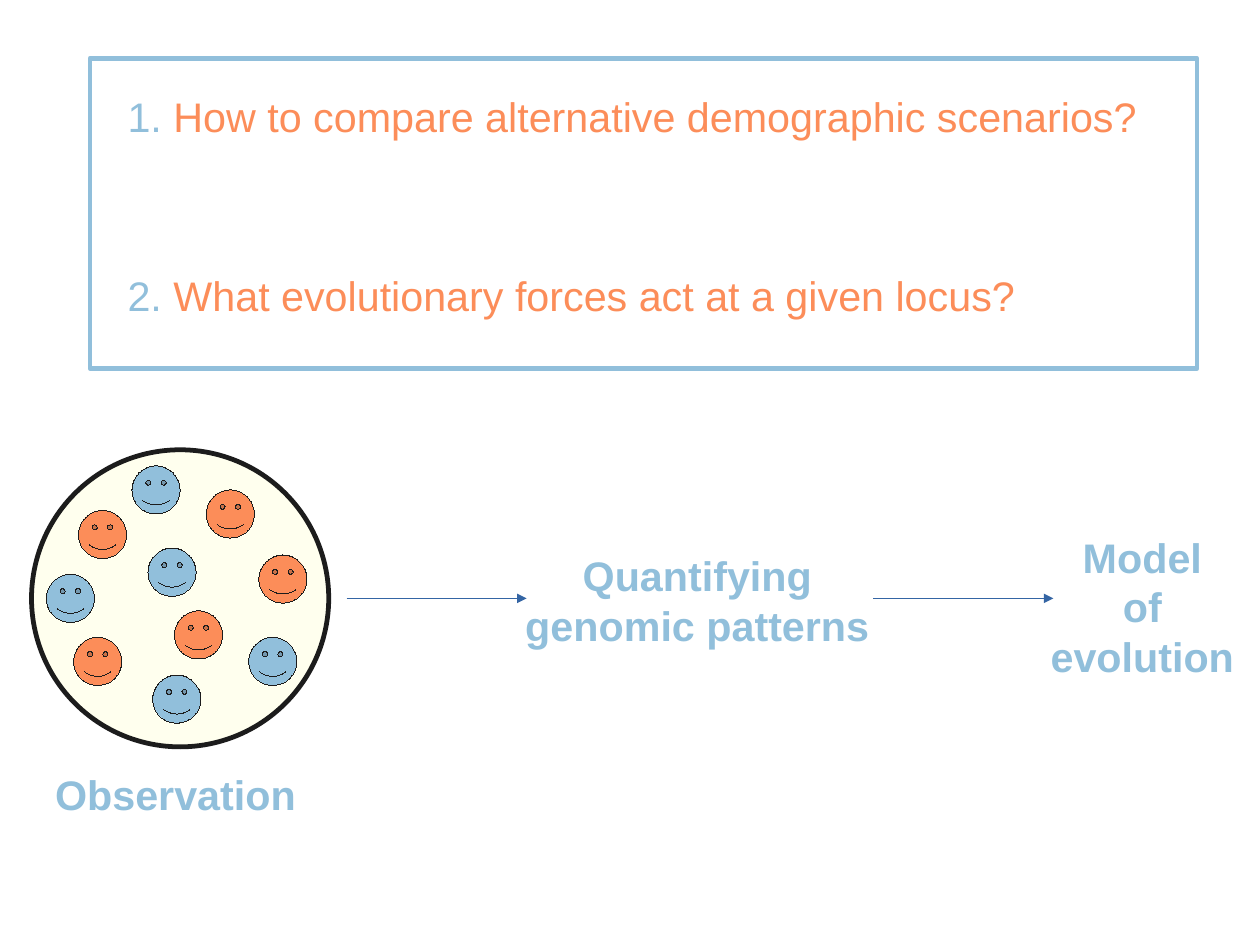
from lxml.etree import SubElement
from pptx import Presentation
from pptx.dml.color import RGBColor
from pptx.enum.shapes import MSO_CONNECTOR, MSO_SHAPE
from pptx.enum.text import PP_ALIGN
from pptx.oxml.ns import qn
from pptx.util import Cm, Pt

BLUE = RGBColor(0x91, 0xBF, 0xDB)
ORANGE = RGBColor(0xFC, 0x8D, 0x59)
YELLOW = RGBColor(0xFF, 0xFF, 0xBF)
BLACK = RGBColor(0x1C, 0x1C, 0x1C)
ARROW = RGBColor(0x34, 0x65, 0xA4)
HAIRLINE = 0.01

QUESTIONS = [
    ("1.", " How to compare alternative demographic scenarios?", 8.82),
    ("2.", " What evolutionary forces act at a given locus?", 66.54),
]
FACES = [
    (ORANGE, [(15.8, 20.4), (48.1, 54.2), (58.8, 13.5), (76.5, 35.4), (14.2, 63.1)]),
    (BLUE, [(33.8, 5.4), (73.1, 63.1), (5, 41.9), (39.2, 33.1), (40.8, 75.8)]),
]


def inside(box, x, y, w, h):
    """Return the part of a box given in percent of its width and height."""
    left, top, width, height = box
    return (int(left + width * x / 100), int(top + height * y / 100),
            int(width * w / 100), int(height * h / 100))


def add_text(s, box, lines, align=PP_ALIGN.LEFT, bold=False, wrap=True):
    """Add a text box; each line is a list of (text, colour) runs."""
    tf = s.shapes.add_textbox(*box).text_frame
    tf.word_wrap = wrap
    for i, runs in enumerate(lines):
        p = tf.paragraphs[0] if i == 0 else tf.add_paragraph()
        p.alignment = align
        for text, color in runs:
            r = p.add_run()
            r.text = text
            r.font.name = "Arial"
            r.font.size = Pt(26)
            r.font.bold = bold
            r.font.color.rgb = color


def add_label(s, box, *lines):
    """Add a bold centred label in blue."""
    add_text(s, box, [[(line, BLUE)] for line in lines],
             PP_ALIGN.CENTER, bold=True, wrap=False)


def add_outlined(s, kind, box, line, width, fill=None):
    """Add a preset shape with an outline and an optional fill."""
    sp = s.shapes.add_shape(kind, *box)
    sp.shadow.inherit = False
    sp.line.color.rgb = line
    sp.line.width = Pt(width)
    if fill is None:
        sp.fill.background()
    else:
        sp.fill.solid()
        sp.fill.fore_color.rgb = fill
    return sp


def add_arrow(s, box):
    """Add a hairline arrow along the top edge of a box."""
    x, y, w, _ = box
    c = s.shapes.add_connector(MSO_CONNECTOR.STRAIGHT, x, y, x + w, y)
    c.line.color.rgb = ARROW
    c.line.width = Pt(HAIRLINE)
    props = c._element.spPr
    SubElement(props.find(qn("a:ln")), qn("a:tailEnd"), type="triangle")
    SubElement(props, qn("a:effectLst"))


def add_questions(s, box):
    """Add the framed list of questions."""
    for number, question, y in QUESTIONS:
        add_text(s, inside(box, 2.37, y, 97.52, 33.46),
                 [[(number, BLUE), (question, ORANGE)]])
    add_outlined(s, MSO_SHAPE.RECTANGLE, box, BLUE, 3)


def add_population(s, box):
    """Add the circle of orange and blue individuals."""
    circle = add_outlined(s, MSO_SHAPE.OVAL, box, BLACK, 3, YELLOW)
    color = circle._element.spPr.find(qn("a:solidFill"))[0]
    SubElement(color, qn("a:alpha"), val="26000")
    for fill, places in FACES:
        for x, y in places:
            face = add_outlined(s, MSO_SHAPE.SMILEY_FACE,
                                inside(box, x, y, 16.2, 16.2), BLACK, HAIRLINE, fill)
            face.adjustments[0] = 0.093


def add_workflow(s, box):
    """Add the path from observation to model across a box."""
    add_label(s, inside(box, 39.66, 57.68, 31.4, 13.18),
              "Quantifying", "genomic patterns")
    add_label(s, inside(box, 82.46, 55.7, 16.42, 25.03),
              "Model", "of", "evolution")
    add_population(s, inside(box, 2.5, 47.6, 23.59, 31.44))
    add_label(s, inside(box, 1.42, 80.85, 25.05, 7.13), "Observation")
    for x in (27.5, 69.3):
        add_arrow(s, inside(box, x, 63.32, 14.3, 0))


def main():
    """Build the slide and save it."""
    prs = Presentation()
    prs.slide_width, prs.slide_height = Cm(28), Cm(21)
    s = prs.slides.add_slide(prs.slide_layouts[6])
    page = (0, 0, prs.slide_width, prs.slide_height)
    add_questions(s, inside(page, 7.15, 6.15, 87.85, 32.85))
    add_workflow(s, page)
    prs.save("out.pptx")


if __name__ == "__main__":
    main()
